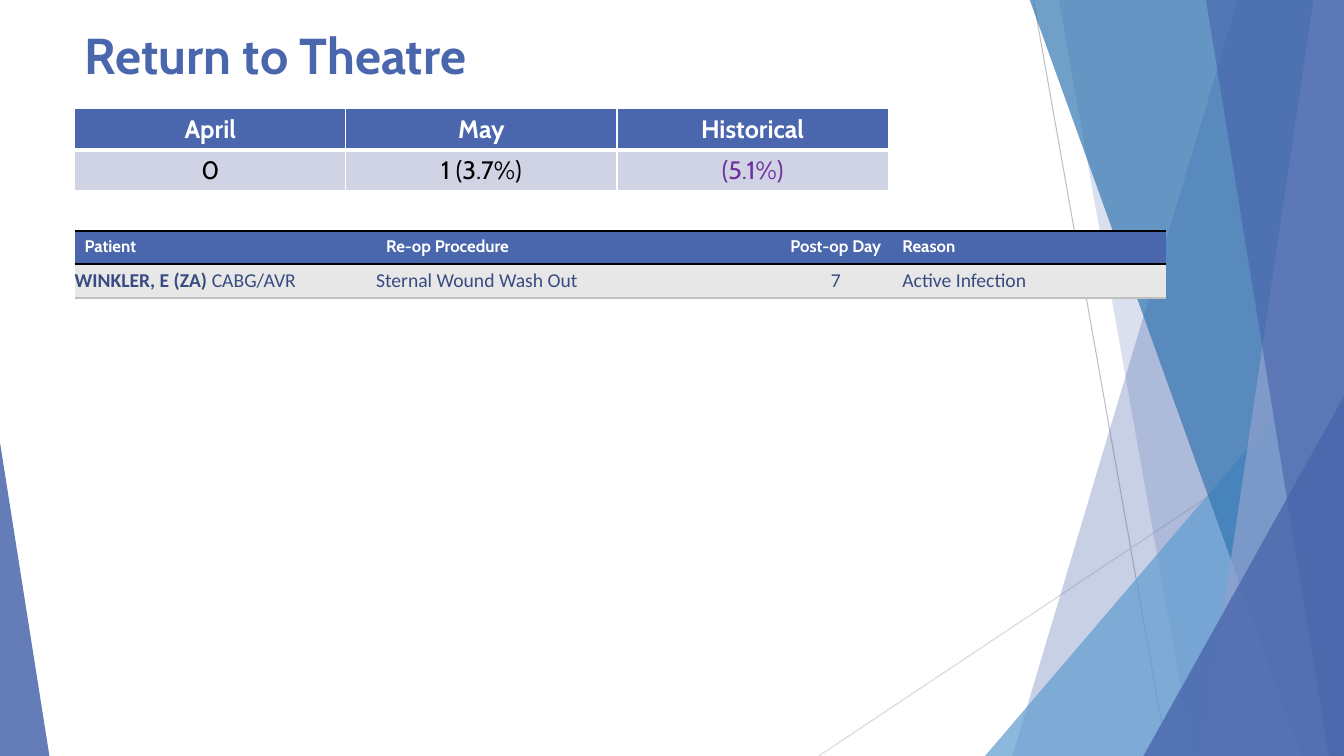
from dataclasses import dataclass

from lxml.etree import SubElement
from pptx import Presentation
from pptx.dml.color import RGBColor
from pptx.enum.shapes import MSO_CONNECTOR, MSO_SHAPE
from pptx.enum.text import MSO_ANCHOR as Anchor, PP_ALIGN as Align
from pptx.oxml.ns import qn
from pptx.util import Inches, Pt


@dataclass(frozen=True)
class Theme:
    blue: str = "4A66AC"
    deep_blue: str = "3477B2"
    sky: str = "629DD1"
    lavender: str = "90A2CF"
    navy: str = "384C81"
    purple: str = "7030A0"
    white: str = "FFFFFF"
    black: str = "000000"
    rate_row: str = "D0D3E3"
    patient_row: str = "E7E7E7"
    grey: str = "BFBFBF"
    pale_grey: str = "D9D9D9"
    heading_font: str = "Cabin"
    body_font: str = "Calibri"
    title_size: int = 36
    rate_size: int = 18
    header_size: int = 12
    patient_size: int = 14


theme = Theme()


def paint(shape, color, opacity):
    shape.shadow.inherit = False
    shape.line.fill.background()
    shape.fill.solid()
    shape.fill.fore_color.rgb = RGBColor.from_string(color)
    tint = shape.fill._xPr.find(qn("a:solidFill"))[0]
    SubElement(tint, qn("a:alpha"), val=str(opacity * 1000))


def write_cell(cell, runs, font, size, color, fill, align, borders):
    """Runs are (text, bold) pairs; borders map L, R, T, B to (colour, points)."""
    properties = cell._tc.get_or_add_tcPr()
    for side in "LRTB":
        edge_color, width = borders.get(side, (None, 0))
        edge = SubElement(properties, qn(f"a:ln{side}"), w=str(Pt(width)))
        if edge_color:
            edge_fill = SubElement(edge, qn("a:solidFill"))
            SubElement(edge_fill, qn("a:srgbClr"), val=edge_color)
        else:
            SubElement(edge, qn("a:noFill"))
    cell.fill.solid()
    cell.fill.fore_color.rgb = RGBColor.from_string(fill)
    paragraph = cell.text_frame.paragraphs[0]
    paragraph.alignment = align
    for text, bold in runs:
        run = paragraph.add_run()
        run.text = text
        run.font.name, run.font.size, run.font.bold = font, Pt(size), bold
        run.font.color.rgb = RGBColor.from_string(color)


prs = Presentation()
prs.slide_width, prs.slide_height = Inches(13.33), Inches(7.5)
slide = prs.slides.add_slide(prs.slide_layouts[5])
shapes = slide.shapes

# Thin lines behind the facets
for x1, y1, x2, y2, color in [
    (10.25, 0, 11.58, 7.5, theme.grey),
    (13.33, 4.03, 8.12, 7.5, theme.pale_grey),
]:
    ray = shapes.add_connector(
        MSO_CONNECTOR.STRAIGHT, Inches(x1), Inches(y1), Inches(x2), Inches(y2))
    ray.line.color.rgb = RGBColor.from_string(color)
    ray.line.width = Pt(0.75)
    SubElement(ray._element.spPr, qn("a:effectLst"))

# Facets: bands run from the top edge to the bottom along the right side,
# corners are right triangles standing on the bottom edge
facets = [
    ("band", 12.28, 10.04, theme.blue, 30),
    ("band", 10.5, 11.83, theme.blue, 20),
    ("corner", 9.77, 3.56, 4.17, 1, theme.sky, 72),
    ("band", 10.21, 12.91, theme.deep_blue, 70),
    ("band", 13.03, 11.92, theme.lavender, 70),
    ("band", 11.96, 13.18, theme.blue, 65),
    ("corner", 11.34, 1.99, 3.57, 1, theme.blue, 80),
    ("corner", 0, 0.49, 3.11, 0, theme.blue, 85),
]
for kind, *geometry, color, opacity in facets:
    if kind == "band":
        top_x, bottom_x = geometry
        outline = shapes.build_freeform(Inches(top_x), Inches(-0.01))
        outline.add_line_segments([
            (Inches(x), Inches(y))
            for x, y in [(13.33, -0.01), (13.33, 7.5), (bottom_x, 7.5)]])
        facet = outline.convert_to_shape()
    else:
        left, width, height, apex = geometry
        facet = shapes.add_shape(
            MSO_SHAPE.ISOSCELES_TRIANGLE, Inches(left), Inches(7.5 - height),
            Inches(width), Inches(height))
        facet.adjustments[0] = apex
    paint(facet, color, opacity)

# Title
title = shapes.title
title.left, title.top = Inches(0.74), Inches(0.18)
title.width, title.height = Inches(9.4), Inches(0.71)
title.text_frame.vertical_anchor = Anchor.MIDDLE
heading = title.text_frame.paragraphs[0]
heading.alignment = Align.LEFT
heading_run = heading.add_run()
heading_run.text = "Return to Theatre"
heading_run.font.name = theme.heading_font
heading_run.font.size = Pt(theme.title_size)
heading_run.font.bold = True
heading_run.font.color.rgb = RGBColor.from_string(theme.blue)

# Return rates by period
rates = shapes.add_table(
    2, 3, Inches(0.74), Inches(1.08), Inches(8.07), Inches(0.81)).table
thin, thick = (theme.white, 1), (theme.white, 3)
periods = [
    ("April", "0", theme.black),
    ("May", "1 (3.7%)", theme.black),
    ("Historical", "(5.1%)", theme.purple),
]
for column, (period, rate, rate_color) in enumerate(periods):
    rates.columns[column].width = Inches(2.69)
    write_cell(rates.cell(0, column), [(period, True)], theme.heading_font,
               theme.rate_size, theme.white, theme.blue, Align.CENTER,
               {"L": thin, "R": thin, "T": thin, "B": thick})
    write_cell(rates.cell(1, column), [(rate, False)], theme.heading_font,
               theme.rate_size, rate_color, theme.rate_row, Align.CENTER,
               {"L": thin, "R": thin, "T": thick, "B": thin})
    for row in range(2):
        rates.cell(row, column).vertical_anchor = Anchor.MIDDLE

# Patients returned to theatre
patients = shapes.add_table(
    2, 4, Inches(0.74), Inches(2.29), Inches(10.83), Inches(0.66)).table
rule = (theme.black, 2)
details = [
    (2.99, "Patient", [("WINKLER, E (ZA) ", True), ("CABG/AVR", False)], Align.LEFT),
    (4, "Re-op Procedure", [("Sternal Wound Wash Out", False)], Align.LEFT),
    (1.12, "Post-op Day", [("7", False)], Align.CENTER),
    (2.72, "Reason", [("Active Infection", False)], Align.LEFT),
]
for column, (width, header, entry, align) in enumerate(details):
    patients.columns[column].width = Inches(width)
    write_cell(patients.cell(0, column), [(header, True)], theme.heading_font,
               theme.header_size, theme.white, theme.blue, align,
               {"T": rule, "B": rule})
    entry_cell = patients.cell(1, column)
    write_cell(entry_cell, entry, theme.body_font, theme.patient_size,
               theme.navy, theme.patient_row, align,
               {"T": rule, "B": (theme.grey, 1)})
    entry_cell.vertical_anchor = Anchor.MIDDLE
    if header != "Reason":
        entry_cell.margin_left = entry_cell.margin_right = 0
        entry_cell.margin_top = entry_cell.margin_bottom = 0

prs.save("out.pptx")
